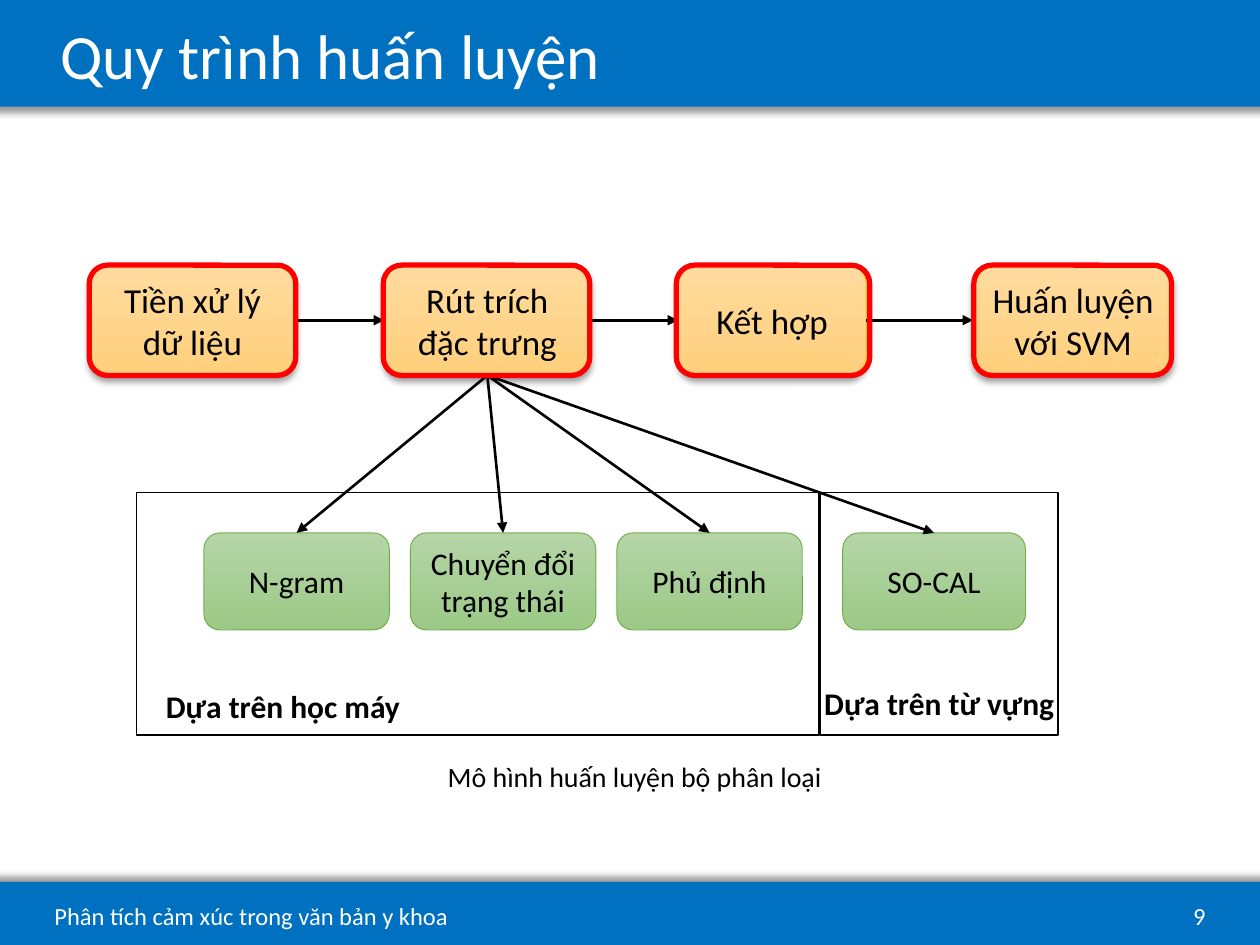
from lxml import etree
from pptx import Presentation
from pptx.dml.color import RGBColor
from pptx.enum import shapes, text
from pptx.oxml.ns import qn
from pptx.util import Pt

BLUE = RGBColor(0x00, 0x70, 0xC0)
WHITE = RGBColor(0xFF, 0xFF, 0xFF)
BLACK = RGBColor(0x00, 0x00, 0x00)
RED = RGBColor(0xFF, 0x00, 0x00)
AMBER = RGBColor(0xFF, 0xC0, 0x00)
GREEN = RGBColor(0x70, 0xAD, 0x47)
ORANGE_FADE = (RGBColor(0xFF, 0xDB, 0x9E), RGBColor(0xFF, 0xD0, 0x7C))
GREEN_FADE = (RGBColor(0xB5, 0xD5, 0xA7), RGBColor(0x9C, 0xC9, 0x87))

RECT = shapes.MSO_SHAPE.RECTANGLE
ROUNDED = shapes.MSO_SHAPE.ROUNDED_RECTANGLE
LEFT, CENTER, RIGHT = text.PP_ALIGN.LEFT, text.PP_ALIGN.CENTER, text.PP_ALIGN.RIGHT

# Frames are (left, top, width, height) in points.
BANDS = [((-5, -8, 733, 69), 90), ((-5, 504, 733, 36), 270)]
LABELS = [
    ("Phân tích cảm xúc trong văn bản y khoa", (24, 507, 254, 33),
     dict(size=14, color=WHITE)),
    ("9", (534, 507, 162, 33), dict(size=14, color=WHITE, align=RIGHT)),
    ("Quy trình huấn luyện", (27.5, 3.5, 594, 60.5),
     dict(size=36, color=WHITE, spacing=0.9)),
    ("Mô hình huấn luyện bộ phân loại", (228.5, 415, 268.5, 57),
     dict(size=16, align=CENTER)),
    ("Dựa trên học máy", (27.5, 375, 268.5, 57),
     dict(size=18, bold=True, align=CENTER)),
    ("Dựa trên từ vựng", (402.5, 373, 268.5, 57),
     dict(size=18, bold=True, align=CENTER)),
]
# Steps: text, left, width, left and width of the red outline
STEP_TOP, STEP_HEIGHT = 151.5, 63
STEPS = [
    ("Tiền xử lý\vdữ liệu", 51, 118, 51, 118),
    ("Rút trích đặc trưng", 219.5, 118, 219, 118),
    ("Kết hợp", 387.5, 107.5, 386.5, 110.5),
    ("Huấn luyện với SVM", 556, 114.5, 556.5, 113),
]
EXTRACTION = 1  # index of the step that the features hang from
FEATURE_TOP, FEATURE_HEIGHT = 304.5, 55.5
FEATURES = [
    ("N-gram", 116.5, 106),
    ("Chuyển đổi trạng thái", 234.5, 106),
    ("Phủ định", 352.5, 106),
    ("SO-CAL", 481.5, 104.5),
]
GROUP_FRAMES = [(78, 281.5, 390, 138.5), (468.5, 281.5, 136, 138.5)]


def write(shape, words, size, color=BLACK, bold=False, align=LEFT, spacing=None):
    frame = shape.text_frame
    frame.word_wrap = True
    frame.vertical_anchor = text.MSO_ANCHOR.MIDDLE
    para = frame.paragraphs[0]
    para.text = words
    para.alignment = align
    if spacing:
        para.line_spacing = spacing
    for span in para.runs:
        span.font.name = "Calibri"
        span.font.size = Pt(size)
        span.font.bold = bold
        span.font.color.rgb = color


def add_shadow(shape, angle):
    effects = shape._element.spPr.find(qn("a:effectLst"))
    shadow = etree.SubElement(effects, qn("a:outerShdw"), blurRad=str(Pt(4)),
                              dist=str(Pt(3)), dir=str(angle * 60000),
                              algn="ctr", rotWithShape="0")
    color = etree.SubElement(shadow, qn("a:srgbClr"), val="000000")
    etree.SubElement(color, qn("a:alpha"), val="40000")


def add_box(page, kind, frame, fill=None, line=None, width=1, shadow=None):
    """fill is one colour, a (top, bottom) pair of colours, or None."""
    box = page.shapes.add_shape(kind, *map(Pt, frame))
    box.shadow.inherit = False
    if fill is None:
        box.fill.background()
    elif isinstance(fill, RGBColor):
        box.fill.solid()
        box.fill.fore_color.rgb = fill
    else:
        box.fill.gradient()
        box.fill.gradient_angle = 270
        for stop, color in zip(box.fill.gradient_stops, fill):
            stop.color.rgb = color
    if line is None:
        box.line.fill.background()
    else:
        box.line.color.rgb = line
        box.line.width = Pt(width)
    if shadow is not None:
        add_shadow(box, shadow)
    return box


def add_arrow(page, start, end):
    arrow = page.shapes.add_connector(shapes.MSO_CONNECTOR.STRAIGHT,
                                      *map(Pt, start + end))
    arrow.line.color.rgb = BLACK
    arrow.line.width = Pt(1.5)
    etree.SubElement(arrow.line._get_or_add_ln(), qn("a:tailEnd"), type="triangle")
    etree.SubElement(arrow._element.spPr, qn("a:effectLst"))


def main():
    deck = Presentation()
    deck.slide_width, deck.slide_height = Pt(720), Pt(540)
    page = deck.slides.add_slide(deck.slide_layouts[6])

    for frame, angle in BANDS:
        add_box(page, RECT, frame, fill=BLUE, shadow=angle)

    for words, left, width, _, _ in STEPS:
        box = add_box(page, ROUNDED, (left, STEP_TOP, width, STEP_HEIGHT),
                      fill=ORANGE_FADE, line=AMBER, width=0.5, shadow=90)
        write(box, words, size=20, align=CENTER)

    middle = STEP_TOP + STEP_HEIGHT / 2
    for (_, left, width, _, _), following in zip(STEPS, STEPS[1:]):
        add_arrow(page, (left + width, middle), (following[1], middle))

    _, left, width, _, _ = STEPS[EXTRACTION]
    source = (left + width / 2, STEP_TOP + STEP_HEIGHT)
    for words, left, width in FEATURES:
        box = add_box(page, ROUNDED, (left, FEATURE_TOP, width, FEATURE_HEIGHT),
                      fill=GREEN_FADE, line=GREEN, width=0.5)
        write(box, words, size=18, align=CENTER)
        add_arrow(page, source, (left + width / 2, FEATURE_TOP))

    for frame in GROUP_FRAMES:
        add_box(page, RECT, frame, line=BLACK)

    for words, frame, style in LABELS:
        write(page.shapes.add_textbox(*map(Pt, frame)), words, **style)

    for _, _, _, left, width in STEPS:
        add_box(page, ROUNDED, (left, STEP_TOP, width, STEP_HEIGHT),
                line=RED, width=3)

    deck.save("out.pptx")


if __name__ == "__main__":
    main()
